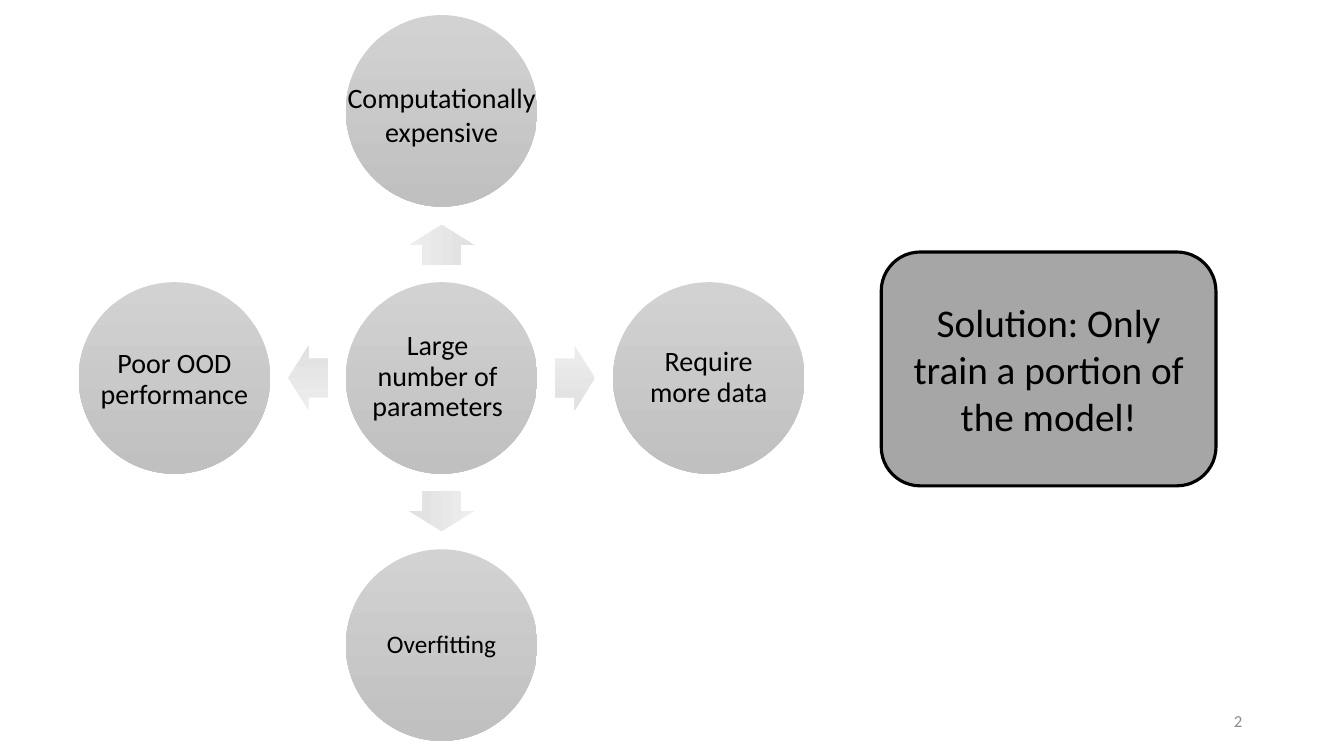
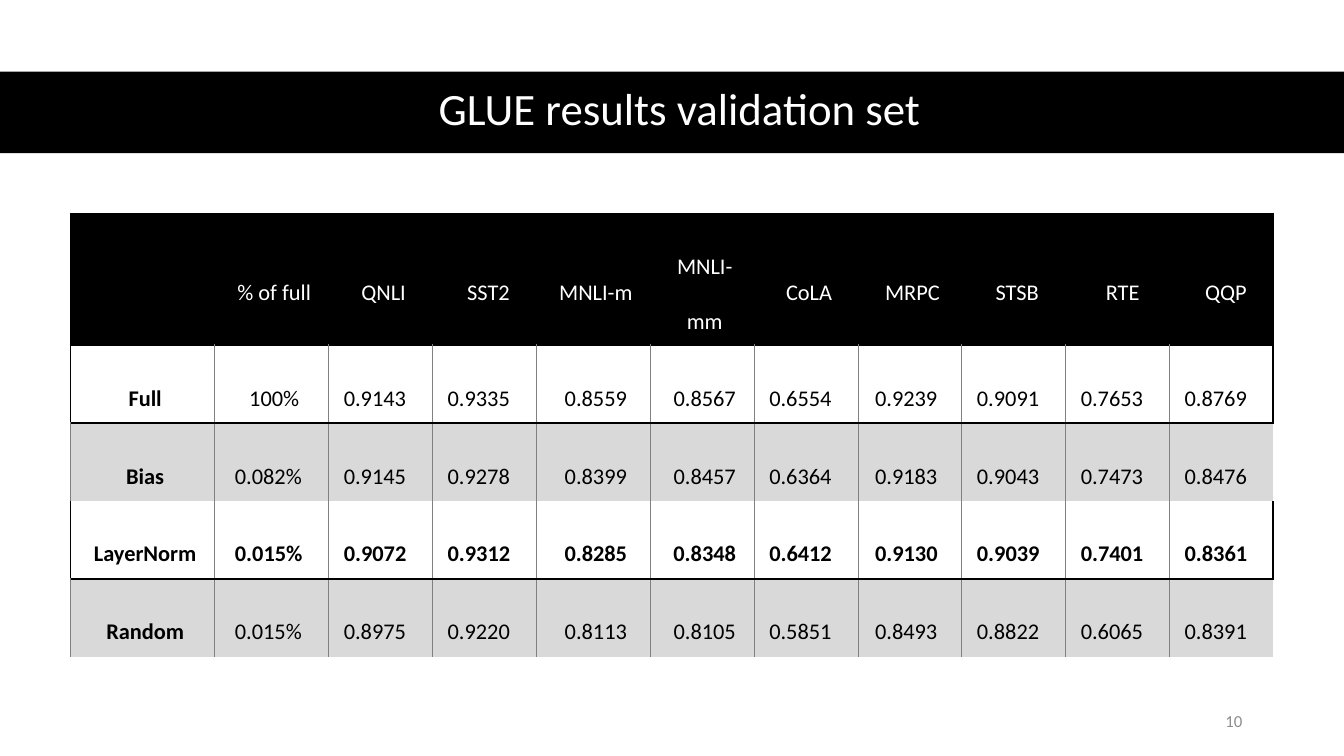
from lxml import etree
from pptx import Presentation
from pptx.dml.color import RGBColor
from pptx.enum.shapes import MSO_SHAPE
from pptx.enum.text import MSO_ANCHOR, PP_ALIGN
from pptx.oxml.ns import qn
from pptx.util import Inches, Pt

BLACK = RGBColor(0x00, 0x00, 0x00)
WHITE = RGBColor(0xFF, 0xFF, 0xFF)
MID_GREY = RGBColor(0xA6, 0xA6, 0xA6)
BAND_GREY = RGBColor(0xD9, 0xD9, 0xD9)
RULE_GREY = RGBColor(0x80, 0x80, 0x80)
NUMBER_GREY = RGBColor(0x8C, 0x8C, 0x8C)
CIRCLE_SHADES = RGBColor(0xD2, 0xD2, 0xD2), RGBColor(0xC0, 0xC0, 0xC0)
ARROW_SHADES = RGBColor(0xED, 0xED, 0xED), RGBColor(0xE1, 0xE1, 0xE1)
FONT = "Calibri"
NO_STYLE = "{2D5ABB26-0587-4C30-8999-92F81FD0307C}"


def write(tf, text, size, color=BLACK, align=PP_ALIGN.CENTER, spacing=1.0):
    """Fill a text frame with one formatted paragraph and return it."""
    tf.word_wrap = True
    p = tf.paragraphs[0]
    p.text = text
    p.alignment = align
    p.line_spacing = spacing
    p.font.name = FONT
    p.font.size = Pt(size)
    p.font.color.rgb = color
    return p


def set_border(cell, side, color, width):
    """Draw one cell edge (L, R, T or B); a width of 0 means no line."""
    ln = etree.SubElement(cell._tc.get_or_add_tcPr(), qn(f"a:ln{side}"), w=str(Pt(width)))
    if width:
        fill = etree.SubElement(ln, qn("a:solidFill"))
        etree.SubElement(fill, qn("a:srgbClr"), val=str(color))
    else:
        etree.SubElement(ln, qn("a:noFill"))


prs = Presentation()
prs.slide_width, prs.slide_height = Inches(13.33), Inches(7.5)
problem = prs.slides.add_slide(prs.slide_layouts[6])
results = prs.slides.add_slide(prs.slide_layouts[5])

for s, number in ((problem, "2"), (results, "10")):
    tf = s.shapes.add_textbox(Inches(9.42), Inches(6.95), Inches(3), Inches(0.4)).text_frame
    tf.vertical_anchor = MSO_ANCHOR.MIDDLE
    write(tf, number, 12, NUMBER_GREY, PP_ALIGN.RIGHT)

# Radial diagram: a hub, four circles around it, and an arrow towards each
HUB_X, HUB_Y = 4.38, 3.75
CIRCLE, CIRCLE_STEP = 1.9, 2.65
ARROW_W, ARROW_H, ARROW_STEP = 0.4, 0.64, 1.32
# direction x, y, arrow rotation, label, size, line spacing, own label box
nodes = [
    (0, -1, 270, "Computationally expensive", 20, 1.0, (3.33, 0.75, 2.1, 1.11)),
    (1, 0, 0, "Require more data", 20, 0.9, None),
    (0, 1, 90, "Overfitting", 18, 0.9, None),
    (-1, 0, 180, "Poor OOD performance", 20, 0.9, (0.65, 3.42, 2.16, 0.71)),
    (0, 0, None, "Large number of parameters", 20, 0.9, (3.54, 3.24, 1.6, 1.01)),
]
for dx, dy, rotation, label, size, spacing, box in nodes:
    parts = [(MSO_SHAPE.OVAL, CIRCLE, CIRCLE, CIRCLE_STEP, 0, CIRCLE_SHADES)]
    if rotation is not None:
        parts.insert(0, (MSO_SHAPE.RIGHT_ARROW, ARROW_W, ARROW_H, ARROW_STEP, rotation,
                         ARROW_SHADES))
    for kind, w, h, step, turn, shades in parts:
        sp = problem.shapes.add_shape(
            kind, Inches(HUB_X + dx * step - w / 2), Inches(HUB_Y + dy * step - h / 2),
            Inches(w), Inches(h))
        sp.rotation = turn
        sp.shadow.inherit = False
        sp.line.fill.background()
        sp.fill.gradient()
        sp.fill.gradient_angle = 270
        for stop, shade in zip(sp.fill.gradient_stops, shades):
            stop.color.rgb = shade
        if kind == MSO_SHAPE.RIGHT_ARROW:
            sp.adjustments[0] = 0.6
    if box:
        tf = problem.shapes.add_textbox(*map(Inches, box)).text_frame
    else:
        tf = sp.text_frame
        tf.margin_left = tf.margin_right = Inches(0.02)
    write(tf, label, size, spacing=spacing)

sp = problem.shapes.add_shape(
    MSO_SHAPE.ROUNDED_RECTANGLE, Inches(8.74), Inches(2.5), Inches(3.32), Inches(2.32))
sp.shadow.inherit = False
sp.fill.solid()
sp.fill.fore_color.rgb = MID_GREY
sp.line.color.rgb = BLACK
sp.line.width = Pt(2.25)
write(sp.text_frame, "Solution: Only train a portion of the model!", 28)

# Results slide: title over a full-width band
band = results.shapes.add_shape(
    MSO_SHAPE.RECTANGLE, 0, Inches(0.71), prs.slide_width, Inches(0.81))
band.shadow.inherit = False
band.fill.solid()
band.fill.fore_color.rgb = BLACK
band.line.fill.background()
title = results.shapes.title
title._element.addprevious(band._element)
title.left, title.top, title.width, title.height = map(Inches, (0.61, 0.7, 12.26, 0.81))
title.text_frame.vertical_anchor = MSO_ANCHOR.MIDDLE
write(title.text_frame, "GLUE results validation set", 32, WHITE, spacing=0.9)

# heading, width, heading indent, value indent, centred values
columns = [
    ("", 1.43, 0, 0, True),
    ("% of full", 1.13, 0, 0.05, False),
    ("QNLI", 1.03, 0.01, 0, False),
    ("SST2", 1.03, 0.03, 0, False),
    ("MNLI-m", 1.13, 0, 0, True),
    ("MNLI-mm", 1.03, 0, 0, True),
    ("CoLA", 1.03, 0.01, 0, False),
    ("MRPC", 1.03, 0, 0.02, False),
    ("STSB", 1.03, 0.02, 0, False),
    ("RTE", 1.03, 0.05, 0, False),
    ("QQP", 1.03, 0.04, 0, False),
]
rows = [
    [column[0] for column in columns],
    ["Full", "100%", "0.9143", "0.9335", "0.8559", "0.8567", "0.6554", "0.9239", "0.9091",
     "0.7653", "0.8769"],
    ["Bias", "0.082%", "0.9145", "0.9278", "0.8399", "0.8457", "0.6364", "0.9183", "0.9043",
     "0.7473", "0.8476"],
    ["LayerNorm", "0.015%", "0.9072", "0.9312", "0.8285", "0.8348", "0.6412", "0.9130",
     "0.9039", "0.7401", "0.8361"],
    ["Random", "0.015%", "0.8975", "0.9220", "0.8113", "0.8105", "0.5851", "0.8493", "0.8822",
     "0.6065", "0.8391"],
]
table = results.shapes.add_table(
    len(rows), len(columns), Inches(0.7), Inches(2.12), Inches(11.93), Inches(4.24)).table
table._tbl.tblPr.find(qn("a:tableStyleId")).text = NO_STYLE
table.first_row = table.horz_banding = False
for column, (_, width, *_) in zip(table.columns, columns):
    column.width = Inches(width)

HEAVY, THIN, NONE = (BLACK, 1.5), (RULE_GREY, 0.5), (BLACK, 0)
last = len(columns) - 1
for i, values in enumerate(rows):
    header, shaded = i == 0, i in (2, 4)
    table.rows[i].height = Inches(1.28 if header else 0.74)
    for j, value in enumerate(values):
        _, _, heading_indent, value_indent, centred = columns[j]
        centred = centred or header or value == "100%"
        cell = table.cell(i, j)
        cell.margin_left = Inches(0.15 + (heading_indent if header else
                                          0 if centred else value_indent))
        cell.margin_right = Inches(0.1)
        cell.margin_top = cell.margin_bottom = Inches(0.12)
        cell.vertical_anchor = MSO_ANCHOR.MIDDLE if header else MSO_ANCHOR.TOP
        p = write(cell.text_frame, value, 16, WHITE if header else BLACK,
                  PP_ALIGN.CENTER if centred else PP_ALIGN.LEFT, 2.0)
        p.font.bold = not header and (j == 0 or values[0] == "LayerNorm")

        outer_left = THIN if shaded else HEAVY
        outer_right = NONE if shaded else HEAVY
        inner = HEAVY if header else THIN
        set_border(cell, "L", *(outer_left if j == 0 else inner))
        set_border(cell, "R", *(outer_right if j == last else inner))
        set_border(cell, "T", *(NONE if i == 3 else HEAVY))
        set_border(cell, "B", *(NONE if shaded else HEAVY))
        if header or shaded:
            cell.fill.solid()
            cell.fill.fore_color.rgb = BLACK if header else BAND_GREY
        else:
            cell.fill.background()

prs.save("out.pptx")
